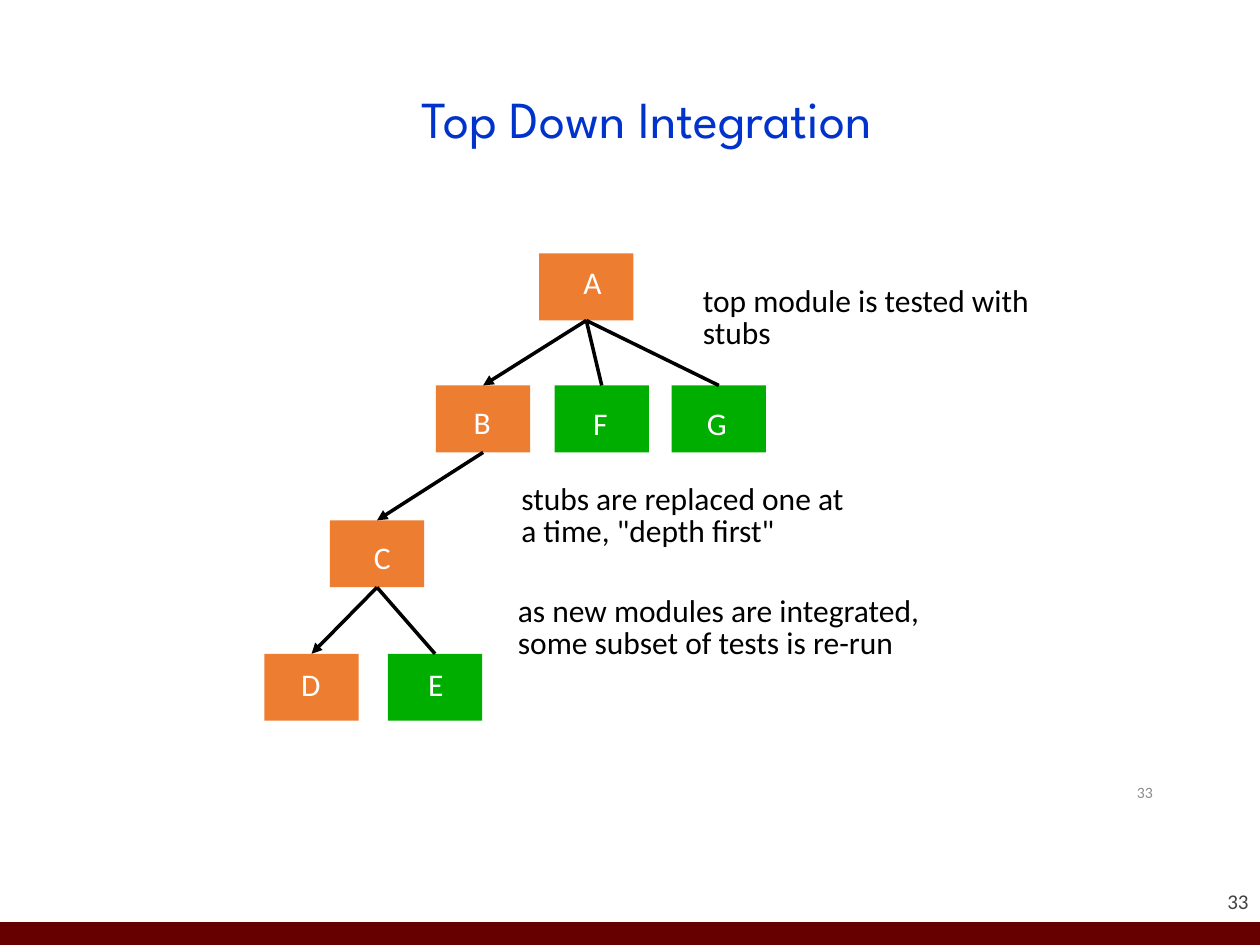
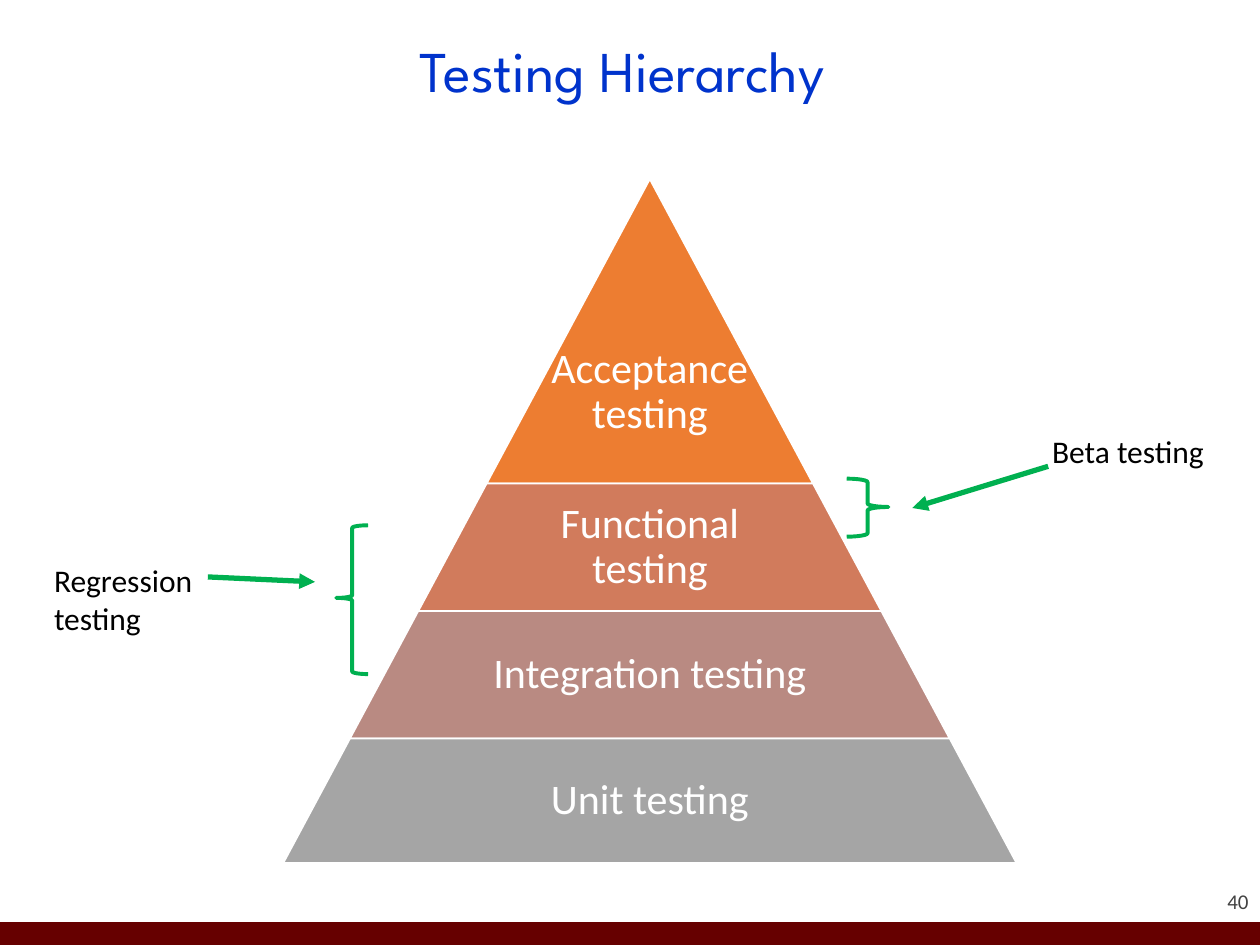
"""Build two slides on software testing: top-down integration and the testing hierarchy."""
from lxml.etree import SubElement
from pptx import Presentation
from pptx.dml.color import RGBColor
from pptx.enum.shapes import MSO_CONNECTOR, MSO_SHAPE as SHAPE
from pptx.enum.text import MSO_ANCHOR as ANCHOR, MSO_AUTO_SIZE as AUTO, PP_ALIGN as ALIGN
from pptx.oxml.ns import qn
from pptx.util import Cm, Pt

BLACK, WHITE, MAROON, BLUE = "000000", "FFFFFF", "660000", "0033CC"
ORANGE, STUB_GREEN, MARK_GREEN = "ED7D31", "00AE00", "00B050"
DARK_GREY, LIGHT_GREY = "424242", "8C8C8C"
BODY, HEADING = "Calibri", "League Spartan"

WIDTH, HEIGHT, BAND_H = 25.4, 19.05, 0.46
PAGE_BOX = (23.06, 17.4, 2.11, 1.02)
INNER_PAGE_BOX = (18.21, 15.42, 5.28, 1.12)

INTEGRATION = {"title": "Top Down Integration", "box": (4.5, 2.08, 17.09, 0.74),
               "size": 29.7, "page": "33"}
HIERARCHY = {"title": "Testing Hierarchy ", "box": (1.75, 0.3, 21.89, 2.39),
             "size": 33, "page": "40"}

MODULE_SIZE = (1.9, 1.35)
LABEL_SIZE = (0.95, 1.02)
MODULES = [
    ("A", (10.87, 5.11), ORANGE, (11.51, 5.18)),
    ("B", (8.79, 7.77), ORANGE, (9.3, 8.0)),
    ("C", (6.65, 10.49), ORANGE, (7.29, 10.72)),
    ("D", (5.33, 13.18), ORANGE, (5.82, 13.28)),
    ("E", (7.82, 13.18), STUB_GREEN, (8.38, 13.28)),
    ("F", (11.18, 7.77), STUB_GREEN, (11.71, 8.03)),
    ("G", (13.54, 7.77), STUB_GREEN, (14.0, 8.03)),
]
CALLS = [("C", "E", False), ("A", "F", False), ("A", "G", False),
         ("A", "B", True), ("B", "C", True), ("C", "D", True)]
NOTE_PITCH = 0.64
NOTES = [
    ((13.92, 5.54), 8.3, ["top module is tested with", "stubs"]),
    ((10.26, 9.53), 8.3, ["stubs are replaced one at", 'a time, "depth first"']),
    ((10.19, 11.79), 10.1, ["as new modules are integrated,", "some subset of tests is re-run"]),
]

PYRAMID_X, PYRAMID_TOP, SLOPE = 13.1, 3.61, 0.536
LEVELS = [
    ("Acceptance testing", 6.14, ORANGE, 1, 2.55),
    ("Functional testing", 2.57, "D17B5C", 0.65, 0.08),
    ("Integration testing", 2.57, "B98A82", 0.65, 0.08),
    ("Unit testing", 2.51, "A5A5A5", 0.65, 0.08),
]
SIDE_NOTES = [
    ("Beta testing", (20.96, 8.59, 3.61, 1.02), False, (21.13, 9.4), (18.39, 10.24),
     SHAPE.RIGHT_BRACE, (17.07, 9.65, 0.84, 1.17)),
    ("Regression testing", (0.84, 11.18, 3.35, 1.8), True, (4.19, 11.63), (6.35, 11.73),
     SHAPE.LEFT_BRACE, (6.78, 10.59, 0.64, 3.0)),
]


def rgb(color):
    """Turn a hex string into a colour."""
    return RGBColor.from_string(color)


def set_all(target, values):
    """Set each attribute named in a dict."""
    for name, value in values.items():
        setattr(target, name, value)


def add_text(shapes, text, box, size, color, font=BODY, frame=None, para=None):
    """Add a one-paragraph text box."""
    tf = shapes.add_textbox(*map(Cm, box)).text_frame
    set_all(tf, {"word_wrap": True, **(frame or {})})
    p = tf.paragraphs[0]
    set_all(p, para or {})
    r = p.add_run()
    r.text = text
    set_all(r.font, {"size": Pt(size), "name": font})
    r.font.color.rgb = rgb(color)


def add_block(shapes, kind, box, fill=None, line=None, weight=1, adjust=()):
    """Add a preset shape with an optional fill and outline."""
    sp = shapes.add_shape(kind, *map(Cm, box))
    sp.shadow.inherit = False
    for i, value in enumerate(adjust):
        sp.adjustments[i] = value
    if fill:
        sp.fill.solid()
        sp.fill.fore_color.rgb = rgb(fill)
    else:
        sp.fill.background()
    if line:
        sp.line.color.rgb = rgb(line)
        sp.line.width = Pt(weight)
    else:
        sp.line.fill.background()
    return sp


def add_line(shapes, color, weight, arrow, start=(0, 0), end=(0, 0)):
    """Add a straight connector, with an arrowhead if asked."""
    c = shapes.add_connector(MSO_CONNECTOR.STRAIGHT, *map(Cm, start + end))
    c.line.color.rgb = rgb(color)
    c.line.width = Pt(weight)
    if arrow:
        SubElement(c.line._get_or_add_ln(), qn("a:tailEnd"), type="triangle")
    SubElement(c._element.spPr, qn("a:effectLst"))
    return c


def add_slide(prs, head):
    """Add a slide with its band, page number and title."""
    shapes = prs.slides.add_slide(prs.slide_layouts[6]).shapes
    add_block(shapes, SHAPE.RECTANGLE, (0, HEIGHT - BAND_H, WIDTH, BAND_H), MAROON)
    margins = {f"margin_{side}": 0 for side in ("left", "top", "right", "bottom")}
    add_text(shapes, head["page"], PAGE_BOX, 12, DARK_GREY,
             frame={"vertical_anchor": ANCHOR.BOTTOM, **margins},
             para={"alignment": ALIGN.RIGHT, "space_before": Pt(5)})
    add_text(shapes, head["title"], head["box"], head["size"], BLUE, HEADING,
             {"vertical_anchor": ANCHOR.MIDDLE},
             {"alignment": ALIGN.CENTER, "line_spacing": 0.9})
    return shapes


def build_integration(prs):
    """Draw the module tree and its notes."""
    shapes = add_slide(prs, INTEGRATION)
    add_text(shapes, INTEGRATION["page"], INNER_PAGE_BOX, 9, LIGHT_GREY,
             frame={"vertical_anchor": ANCHOR.MIDDLE}, para={"alignment": ALIGN.RIGHT})
    grow = {"word_wrap": False, "auto_size": AUTO.SHAPE_TO_FIT_TEXT}
    blocks = {name: add_block(shapes, SHAPE.RECTANGLE, place + MODULE_SIZE, fill)
              for name, place, fill, _ in MODULES}
    for caller, callee, arrow in CALLS:
        c = add_line(shapes, BLACK, 2, arrow)
        c.begin_connect(blocks[caller], 2)
        c.end_connect(blocks[callee], 0)
    for (left, top), width, lines in NOTES:
        for i, line in enumerate(lines):
            add_text(shapes, line, (left, top + i * NOTE_PITCH, width, 1.02), 18, BLACK, frame=grow)
    for name, _, _, place in MODULES:
        add_text(shapes, name, place + LABEL_SIZE, 18, WHITE, frame=grow)


def build_hierarchy(prs):
    """Draw the pyramid of test levels and its side notes."""
    shapes = add_slide(prs, HIERARCHY)
    pyramid = shapes.add_group_shape().shapes
    depth = 0
    for text, height, fill, share, inset in LEVELS:
        top = PYRAMID_TOP + depth
        depth += height
        base = 2 * SLOPE * depth
        add_block(pyramid, SHAPE.TRAPEZOID, (PYRAMID_X - base / 2, top, base, height),
                  fill, WHITE, 1, (SLOPE,))
        width = base * share
        margins = {f"margin_{side}": Cm(0.08) for side in ("left", "right", "bottom")}
        add_text(pyramid, text, (PYRAMID_X - width / 2, top, width, height), 24, WHITE,
                 frame={"vertical_anchor": ANCHOR.MIDDLE, "margin_top": Cm(inset), **margins},
                 para={"alignment": ALIGN.CENTER, "line_spacing": 0.9})
    for text, box, wrap, start, end, brace, brace_box in SIDE_NOTES:
        add_line(shapes, MARK_GREEN, 3, True, start, end)
        add_text(shapes, text, box, 18, BLACK,
                 frame={"word_wrap": wrap, "auto_size": AUTO.SHAPE_TO_FIT_TEXT})
        add_block(shapes, brace, brace_box, None, MARK_GREEN, 2.25, (0.083, 0.488))


def main():
    """Build and save the presentation."""
    prs = Presentation()
    set_all(prs, {"slide_width": Cm(WIDTH), "slide_height": Cm(HEIGHT)})
    build_integration(prs)
    build_hierarchy(prs)
    prs.save("out.pptx")


if __name__ == "__main__":
    main()
